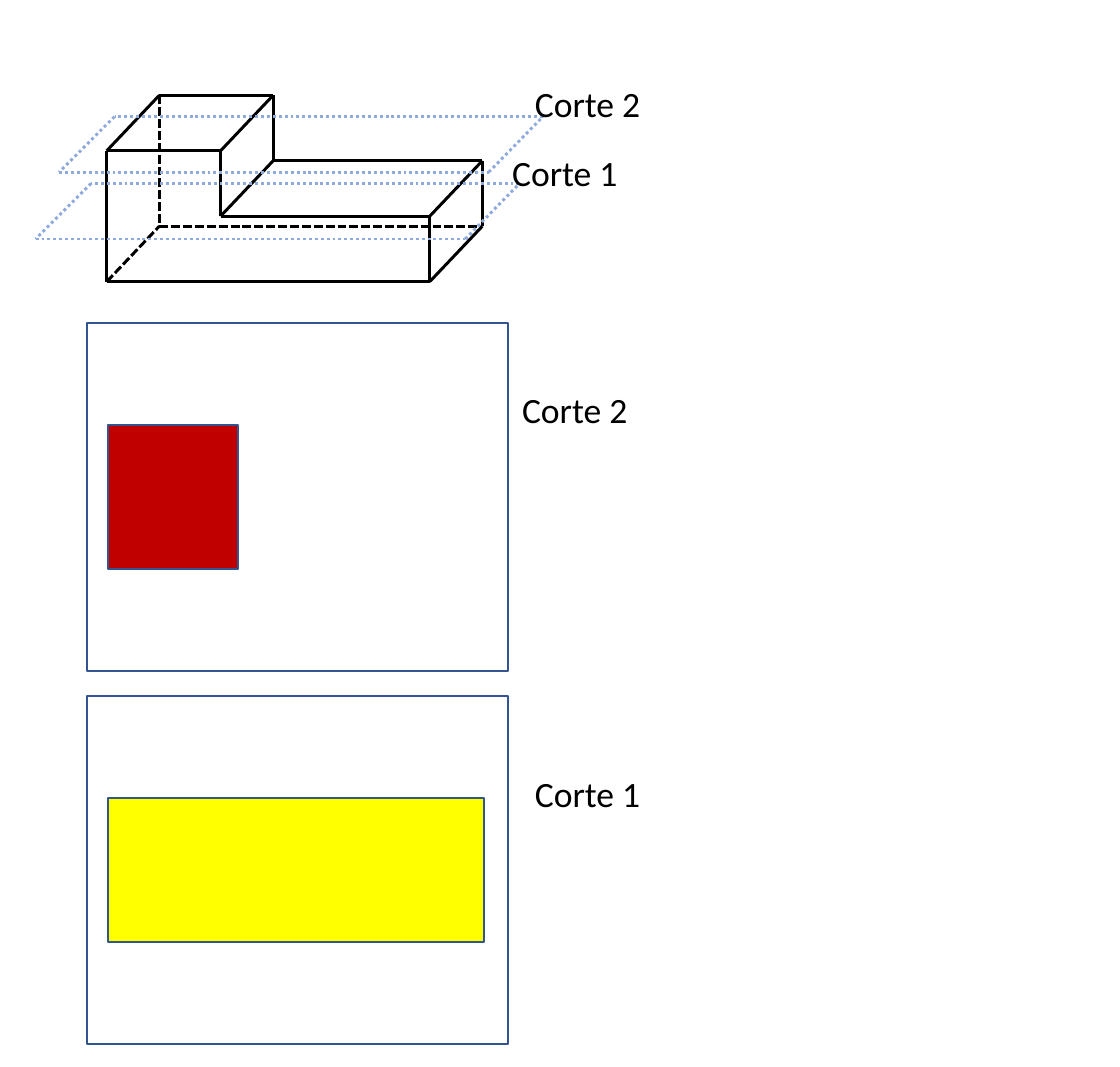
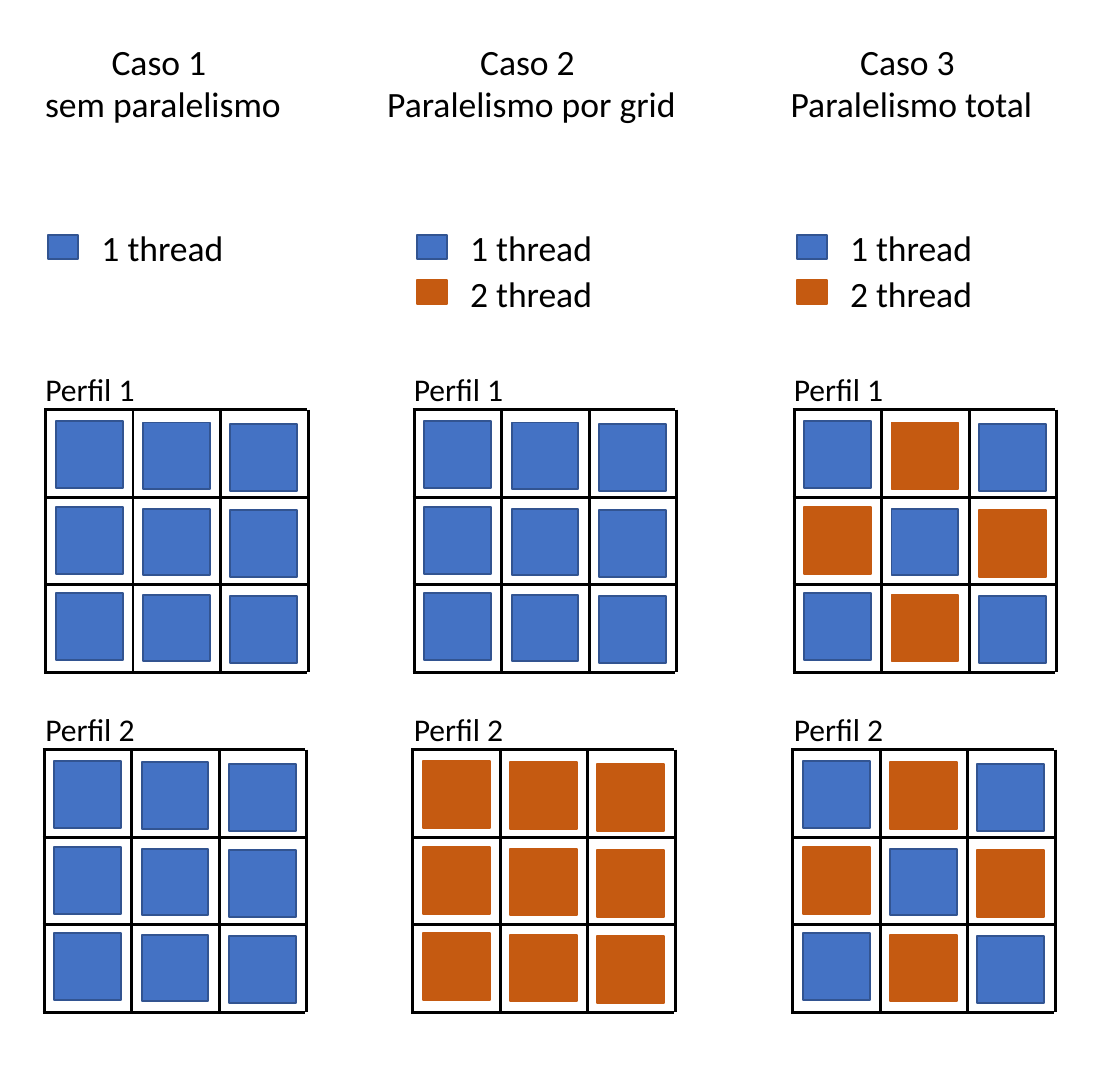
from dataclasses import dataclass
from typing import NamedTuple, Optional

from lxml import etree
from pptx import Presentation
from pptx.dml.color import RGBColor
from pptx.enum.dml import MSO_LINE
from pptx.enum.shapes import MSO_CONNECTOR, MSO_SHAPE
from pptx.enum.text import MSO_AUTO_SIZE, PP_ALIGN
from pptx.oxml.ns import qn
from pptx.util import Emu, Inches, Pt

GRID_STEP = Inches(0.1)
COLUMNS, ROWS = 78.7, 75
FONT = "Calibri"
BLACK = RGBColor(0x00, 0x00, 0x00)
BLUE = RGBColor(0x44, 0x72, 0xC4)
OUTLINE = RGBColor(0x32, 0x54, 0x91)
ORANGE = RGBColor(0xC5, 0x5A, 0x11)
PALE_BLUE = RGBColor(0x8F, 0xAA, 0xDC)
RED = RGBColor(0xC0, 0x00, 0x00)
YELLOW = RGBColor(0xFF, 0xFF, 0x00)


class Point(NamedTuple):
    col: float
    row: float

    def shifted(self, cols: float, rows: float) -> "Point":
        return Point(self.col + cols, self.row + rows)


class Size(NamedTuple):
    cols: float
    rows: float


class Paint(NamedTuple):
    fill: Optional[RGBColor]
    line: RGBColor


@dataclass(frozen=True)
class Label:
    text: str
    at: Point
    size: Size
    points: int = 18
    align: PP_ALIGN = PP_ALIGN.LEFT


@dataclass(frozen=True)
class Section:
    name: str
    frame_at: Point
    label_at: Point
    cut_cols: float
    color: RGBColor


@dataclass(frozen=True)
class Case:
    title: str
    title_cols: float
    left: float
    threads: str
    profiles: tuple[str, str]


def emu(steps: float) -> Emu:
    return Emu(round(steps * GRID_STEP))


def draw_line(shapes, start: Point, end: Point, color: RGBColor = BLACK,
              dash: Optional[MSO_LINE] = None) -> None:
    line = shapes.add_connector(MSO_CONNECTOR.STRAIGHT, *map(emu, (*start, *end)))
    line.line.color.rgb = color
    line.line.width = Pt(1.5)
    if dash is not None:
        line.line.dash_style = dash
    etree.SubElement(line._element.spPr, qn("a:effectLst"))


def draw_box(shapes, at: Point, size: Size, paint: Paint) -> None:
    box = shapes.add_shape(MSO_SHAPE.RECTANGLE, *map(emu, (*at, *size)))
    box.shadow.inherit = False
    if paint.fill is None:
        box.fill.background()
    else:
        box.fill.solid()
        box.fill.fore_color.rgb = paint.fill
    box.line.color.rgb = paint.line
    box.line.width = Pt(1)


def draw_label(shapes, label: Label) -> None:
    frame = shapes.add_textbox(*map(emu, (*label.at, *label.size))).text_frame
    frame.word_wrap = False
    frame.auto_size = MSO_AUTO_SIZE.SHAPE_TO_FIT_TEXT
    frame.text = label.text
    for paragraph in frame.paragraphs:
        paragraph.alignment = label.align
        for run in paragraph.runs:
            run.font.name = FONT
            run.font.size = Pt(label.points)
            run.font.color.rgb = BLACK


FRONT = (Point(7.5, 19.8), Point(30.2, 19.8), Point(30.2, 15.2),
         Point(15.5, 15.2), Point(15.5, 10.6), Point(7.5, 10.6))
DEPTH = Size(3.7, -3.9)
HIDDEN_CORNER = 0
PLANE_CORNERS = (Point(2.5, 16.8), Point(32.7, 16.8), Point(36.5, 12.9), Point(6.4, 12.9))
PLANE_SHIFTS = (Size(0, 0), Size(1.65, -4.7))

CUT_LABEL = Size(9.5, 4)
CUT_LABELS = (Label("Corte 1", Point(35, 10.1), CUT_LABEL),
              Label("Corte 2", Point(36.6, 5.3), CUT_LABEL))
FRAME = Size(29.6, 24.5)
CUT_ROWS = 10.1
SECTIONS = (
    Section("Corte 2", Point(6.1, 22.7), Point(35.7, 26.8), 9.1, RED),
    Section("Corte 1", Point(6.1, 48.9), Point(36.6, 53.8), 26.4, YELLOW),
)


def draw_solid(shapes) -> None:
    back = [corner.shifted(*DEPTH) for corner in FRONT]
    for i, corner in enumerate(FRONT):
        following = (i + 1) % len(FRONT)
        draw_line(shapes, corner, FRONT[following])
        draw_line(shapes, back[i], back[following],
                  dash=MSO_LINE.SQUARE_DOT if HIDDEN_CORNER in (i, following) else None)
        draw_line(shapes, corner, back[i],
                  dash=MSO_LINE.SQUARE_DOT if i == HIDDEN_CORNER else None)


def draw_plane(shapes, shift: Size) -> None:
    corners = [corner.shifted(*shift) for corner in PLANE_CORNERS]
    for start, end in zip(corners, corners[1:] + corners[:1]):
        draw_line(shapes, start, end, PALE_BLUE, MSO_LINE.ROUND_DOT)


def draw_section(shapes, section: Section) -> None:
    draw_box(shapes, section.frame_at, FRAME, Paint(None, OUTLINE))
    draw_label(shapes, Label(section.name, section.label_at, CUT_LABEL))
    draw_box(shapes, section.frame_at.shifted(1.5, 7.2),
             Size(section.cut_cols, CUT_ROWS), Paint(section.color, OUTLINE))


THREAD_PAINTS = {"1": Paint(BLUE, OUTLINE), "2": Paint(ORANGE, ORANGE)}
ONLY_FIRST, ONLY_SECOND, ALTERNATING = "1" * 9, "2" * 9, "121212121"
CASES = (
    Case("Caso 1 \nsem paralelismo", 18.8, 3.2, "1", (ONLY_FIRST, ONLY_FIRST)),
    Case("Caso 2 \nParalelismo por grid", 22.5, 29.1, "12", (ONLY_FIRST, ONLY_SECOND)),
    Case("Caso 3 \nParalelismo total", 19.2, 55.8, "12", (ALTERNATING, ALTERNATING)),
)
TITLE_CENTER = 8.25
LEGEND_TOP, LEGEND_PITCH = 15.4, 3.2
SWATCH = Size(2.1, 1.7)
BOARD_TOPS = (28.8, 52.7)
PROFILE_LABEL_TOPS = (25.5, 49.4)
BOARD_SIDE, CELL_PITCH = 18.45, 6.15
TILE = Size(4.7, 4.7)


def draw_board(shapes, corner: Point, threads: str) -> None:
    rules = shapes.add_group_shape().shapes
    for i in range(4):
        across = corner.shifted(i * CELL_PITCH, 0)
        down = corner.shifted(-0.1, i * CELL_PITCH)
        draw_line(rules, across, across.shifted(0, BOARD_SIDE))
        draw_line(rules, down, down.shifted(BOARD_SIDE, 0))
    for i, thread in enumerate(threads):
        row, col = divmod(i, 3)
        tile_at = corner.shifted(0.72 + 6.13 * col, 0.8 + 6.05 * row + 0.1 * col)
        draw_box(shapes, tile_at, TILE, THREAD_PAINTS[thread])


def draw_case(shapes, case: Case) -> None:
    title_left = case.left + TITLE_CENTER - case.title_cols / 2
    draw_label(shapes, Label(case.title, Point(title_left, 2.3),
                             Size(case.title_cols, 7.1), align=PP_ALIGN.CENTER))
    for i, thread in enumerate(case.threads):
        entry = Point(case.left, LEGEND_TOP + i * LEGEND_PITCH)
        draw_box(shapes, entry.shifted(0.2, 1.1), SWATCH, THREAD_PAINTS[thread])
        draw_label(shapes, Label(f"{thread} thread", entry.shifted(2.95, 0), Size(10.7, 4)))
    for i, threads in enumerate(case.profiles):
        draw_label(shapes, Label(f"Perfil {i + 1}", Point(case.left - 1, PROFILE_LABEL_TOPS[i]),
                                 Size(8.4, 3.7), points=16))
        draw_board(shapes, Point(case.left - 0.1 * i, BOARD_TOPS[i]), threads)


def draw_cuts_slide(shapes) -> None:
    draw_solid(shapes)
    for shift in PLANE_SHIFTS:
        draw_plane(shapes, shift)
    for label in CUT_LABELS:
        draw_label(shapes, label)
    for section in SECTIONS:
        draw_section(shapes, section)


def draw_cases_slide(shapes) -> None:
    for case in CASES:
        draw_case(shapes, case)


def main() -> None:
    deck = Presentation()
    deck.slide_width, deck.slide_height = emu(COLUMNS), emu(ROWS)
    blank = deck.slide_layouts[6]
    for draw_slide in (draw_cuts_slide, draw_cases_slide):
        draw_slide(deck.slides.add_slide(blank).shapes)
    deck.save("out.pptx")


main()
